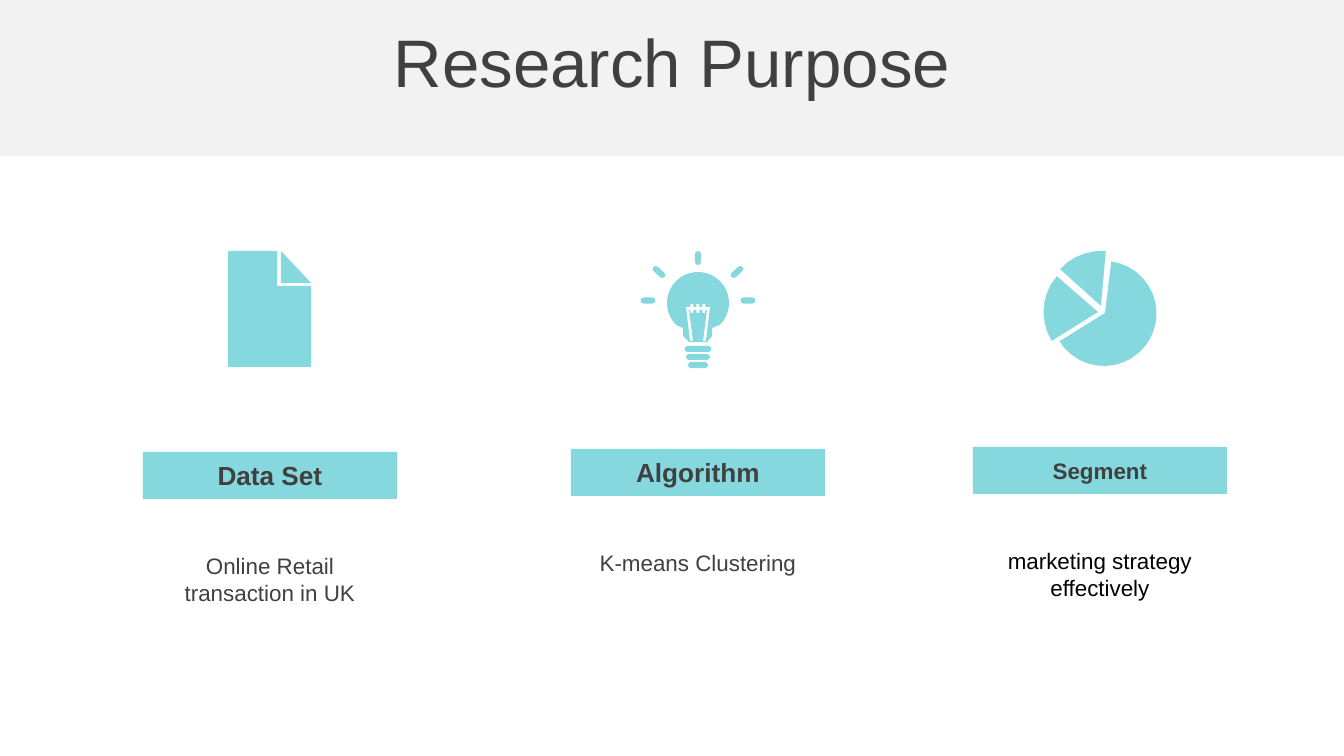
from math import cos, radians, sin

from pptx import Presentation
from pptx import util as u
from pptx.dml.color import RGBColor
from pptx.enum import shapes, text

PX = 914400 / 134.4
FINE = 20
TEAL = RGBColor(0x85, 0xD8, 0xDE)
GREY = RGBColor(0xF2, 0xF2, 0xF2)
DARK = RGBColor(0x40, 0x40, 0x40)
BLACK = RGBColor(0, 0, 0)


def px(*vals):
    return [u.Emu(round(v * PX)) for v in vals]


def paint(shape, color):
    shape.fill.solid()
    shape.fill.fore_color.rgb = color
    shape.line.fill.background()
    shape.shadow.inherit = False


def block(owner, box, color):
    shape = owner.shapes.add_shape(shapes.MSO_SHAPE.RECTANGLE, *px(*box))
    paint(shape, color)
    return shape


def write(shape, words, size, color=DARK, bold=False,
          anchor=text.MSO_ANCHOR.MIDDLE):
    frame = shape.text_frame
    frame.word_wrap = True
    frame.vertical_anchor = anchor
    para = frame.paragraphs[0]
    para.text = words
    para.alignment = text.PP_ALIGN.CENTER
    font = para.font
    font.name = "Arial"
    font.size = u.Pt(size)
    font.bold = bold
    font.color.rgb = color


def label(owner, box, *args, **opts):
    write(owner.shapes.add_textbox(*px(*box)), *args, **opts)


def icon(slide, rings):
    rings = [[(x * FINE, y * FINE) for x, y in ring] for ring in rings]
    build = slide.shapes.build_freeform(*rings[0][0], scale=PX / FINE)
    build.add_line_segments(rings[0][1:])
    for ring in rings[1:]:
        build.move_to(*ring[0])
        build.add_line_segments(ring[1:])
    paint(build.convert_to_shape(), TEAL)


def arc(x, y, r, start, end, step=10):
    count = max(1, round((end - start) / step))
    angles = [radians(start + (end - start) * i / count)
              for i in range(count + 1)]
    return [(x + r * cos(a), y + r * sin(a)) for a in angles]


def pill(x, y, w, h, turn=0):
    reach = (w - h) / 2
    dx, dy = reach * cos(radians(turn)), reach * sin(radians(turn))
    return (arc(x + dx, y + dy, h / 2, turn - 90, turn + 90, 45)
            + arc(x - dx, y - dy, h / 2, turn + 90, turn + 270, 45))


def teeth(mid, base, tip):
    return [(mid + x + dx, y) for x in (-6, 0, 6)
            for dx, y in ((-1.5, base), (-1.5, tip), (1.5, tip), (1.5, base))]


def page():
    return [[(228, 251), (277, 251), (277, 286),
             (311, 286), (311, 367), (228, 367)],
            [(281, 251), (311, 283), (281, 283)]]


def bulb():
    mid = 698
    base = [(712, 328), (712, 336), (707, 342),
            (689, 342), (683, 336), (683, 328)]
    wire = ([(mid - 12, 307)] + teeth(mid, 307, 304)
            + [(mid + 12, 307), (mid + 8, 341), (mid + 5, 341), (mid + 9, 310)]
            + teeth(mid, 310, 313)[::-1]
            + [(mid - 9, 310), (mid - 5, 341), (mid - 8, 341)])
    rings = [arc(mid, 303, 31, 135, 405) + base, wire,
             pill(mid, 258, 14, 6, 90)]
    for side in (-1, 1):
        rings += [pill(mid + side * 50, 300.5, 15, 6),
                  pill(mid + side * 39, 272, 15, 6, -42 * side)]
    return rings + [pill(mid, 349 + 8 * i, w, 6)
                    for i, w in enumerate((27, 24, 20))]


def pie():
    return [[tip] + arc(*curve) for tip, curve in (
        ((1105, 313), (1104, 313.5, 52.5, -82, 148)),
        ((1098, 312), (1098, 312, 54.5, 148, 221)),
        ((1101, 306), (1101, 306, 55, 222, 275)))]


def column(slide, x, y, head, size, body, color, rings):
    icon(slide, rings)
    group = slide.shapes.add_group_shape()
    write(block(group, (x, y, 254, 47), TEAL), head, size, bold=True)
    label(group, (x, y + 94, 254, 67), body, 12, color,
          anchor=text.MSO_ANCHOR.TOP)


def main():
    deck = Presentation()
    deck.slide_width, deck.slide_height = px(1344, 756)
    slide = deck.slides.add_slide(deck.slide_layouts[6])
    block(slide, (0, 0, 1344, 156), GREY)
    label(slide, (0, 18, 1344, 85), "Research Purpose", 36)
    column(slide, 143, 452, "Data Set", 14,
           "Online Retail transaction in UK", DARK, page())
    column(slide, 571, 449, "Algorithm", 14,
           "K-means Clustering", DARK, bulb())
    column(slide, 973, 447, "Segment", 12,
           "marketing strategy effectively", BLACK, pie())
    deck.save("out.pptx")


if __name__ == "__main__":
    main()
